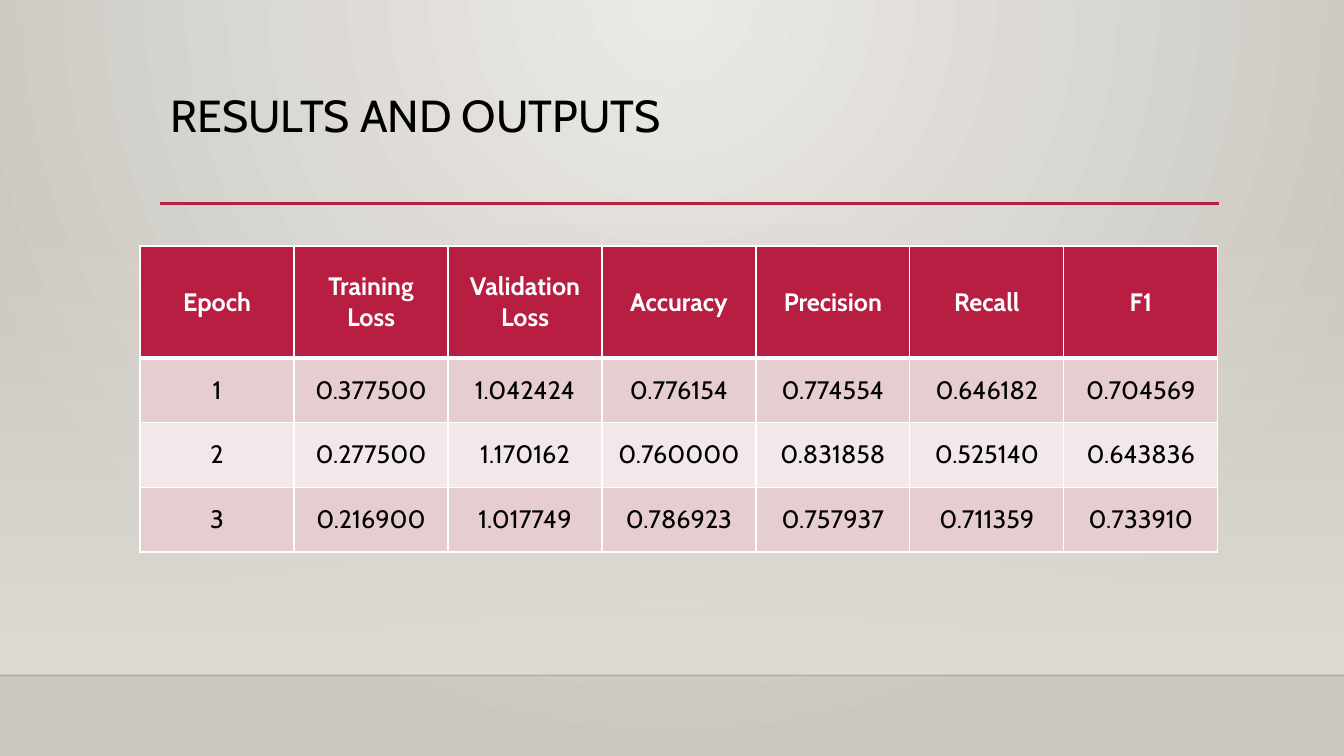
import lxml.etree
import pptx
import pptx.dml.color
import pptx.enum.shapes
import pptx.enum.text
import pptx.oxml.ns
import pptx.util

Cm = pptx.util.Cm
Pt = pptx.util.Pt
RGBColor = pptx.dml.color.RGBColor
qn = pptx.oxml.ns.qn

CRIMSON = RGBColor(0xB7, 0x1E, 0x42)
PINK = RGBColor(0xE6, 0xCD, 0xCF)
PALE_PINK = RGBColor(0xF3, 0xE8, 0xE9)
WHITE = RGBColor(0xFF, 0xFF, 0xFF)
BLACK = RGBColor(0x00, 0x00, 0x00)
GLOW = RGBColor(0xEC, 0xEA, 0xE7)
STONE = RGBColor(0xCA, 0xC7, 0xC1)
SAND = RGBColor(0xDF, 0xDB, 0xD5)

SLIDE_WIDTH = Cm(33.87)
FLOOR_TOP = Cm(17.02)
RULE_LEFT, RULE_RIGHT, RULE_TOP = Cm(4.04), Cm(30.73), Cm(5.13)

RESULTS = [
    ["Epoch", "Training Loss", "Validation Loss", "Accuracy", "Precision", "Recall", "F1"],
    ["1", "0.377500", "1.042424", "0.776154", "0.774554", "0.646182", "0.704569"],
    ["2", "0.277500", "1.170162", "0.760000", "0.831858", "0.525140", "0.643836"],
    ["3", "0.216900", "1.017749", "0.786923", "0.757937", "0.711359", "0.733910"],
]


def write(frame, text, size=18, color=BLACK, bold=False, align=None, spacing=None):
    frame.word_wrap = True
    paragraph = frame.paragraphs[0]
    paragraph.alignment = align
    paragraph.line_spacing = spacing
    run = paragraph.add_run()
    run.text = text
    run.font.name = "Cabin"
    run.font.size = Pt(size)
    run.font.bold = bold
    run.font.color.rgb = color


def set_alpha(parent, percent):
    """Make the first RGB colour under the element partly transparent."""
    color = next(parent.iter(qn("a:srgbClr")))
    lxml.etree.SubElement(color, qn("a:alpha"), val=str(percent * 1000))


deck = pptx.Presentation()
deck.slide_width, deck.slide_height = SLIDE_WIDTH, Cm(19.05)
slide = deck.slides.add_slide(deck.slide_layouts[6])

# Radial background, brightest at the top centre
backdrop = slide.background.fill
backdrop.gradient()
for stop, color, position in zip(backdrop.gradient_stops, (GLOW, STONE), (0, 1)):
    stop.color.rgb = color
    stop.position = position
radial = next(slide.element.iter(qn("a:gradFill")))
radial.remove(radial.find(qn("a:lin")))
circle = lxml.etree.SubElement(radial, qn("a:path"), path="circle")
lxml.etree.SubElement(circle, qn("a:fillToRect"), l="43000", t="0", r="43000", b="100000")

# Wall that fades in towards the floor
wall_top = Cm(5.61)
wall = slide.shapes.add_shape(
    pptx.enum.shapes.MSO_SHAPE.RECTANGLE, 0, wall_top, SLIDE_WIDTH, FLOOR_TOP - wall_top
)
wall.shadow.inherit = False
wall.line.fill.background()
wall.fill.gradient()
wall.fill.gradient_angle = 270
for stop, position in zip(wall.fill.gradient_stops, (0, 1)):
    stop.color.rgb = SAND
    stop.position = position
set_alpha(wall.element.spPr, 0)

# Floor edge and rule under the title
for left, right, top, color, width, opacity in [
    (0, SLIDE_WIDTH, FLOOR_TOP, BLACK, 1, 20),
    (RULE_LEFT, RULE_RIGHT, RULE_TOP, CRIMSON, 2.5, 100),
]:
    rule = slide.shapes.add_connector(
        pptx.enum.shapes.MSO_CONNECTOR.STRAIGHT, left, top, right, top
    )
    rule.line.color.rgb = color
    rule.line.width = Pt(width)
    set_alpha(rule.element.spPr, opacity)
    lxml.etree.SubElement(rule.element.spPr, qn("a:effectLst"))

title = slide.shapes.add_textbox(RULE_LEFT, Cm(2.24), Cm(26.67), Cm(2.92))
write(title.text_frame, "RESULTS AND OUTPUTS", size=32, spacing=0.9)

# Results table
column_width, header_height, row_height = Cm(3.88), Cm(2.82), Cm(1.63)
row_count, column_count = len(RESULTS), len(RESULTS[0])
table = slide.shapes.add_table(
    row_count, column_count, Cm(3.53), Cm(6.2),
    column_width * column_count, header_height + row_height * (row_count - 1),
).table
for column in table.columns:
    column.width = column_width

for row_index, values in enumerate(RESULTS):
    is_header = row_index == 0
    table.rows[row_index].height = header_height if is_header else row_height
    row_fill = CRIMSON if is_header else (PALE_PINK, PINK)[row_index % 2]
    top_width = 3 if row_index == 1 else 1
    bottom_width = 3 if is_header else 1
    for column_index, value in enumerate(values):
        cell = table.cell(row_index, column_index)
        cell.vertical_anchor = pptx.enum.text.MSO_ANCHOR.MIDDLE
        cell.fill.solid()
        cell.fill.fore_color.rgb = row_fill
        write(cell.text_frame, value, color=WHITE if is_header else BLACK,
              bold=is_header, align=pptx.enum.text.PP_ALIGN.CENTER)
        borders = [("L", 1), ("R", 1), ("T", top_width), ("B", bottom_width)]
        for order, (side, width) in enumerate(borders):
            border = lxml.etree.Element(qn(f"a:ln{side}"), w=str(Pt(width)))
            paint = lxml.etree.SubElement(border, qn("a:solidFill"))
            lxml.etree.SubElement(paint, qn("a:srgbClr"), val=str(WHITE))
            cell._tc.tcPr.insert(order, border)

deck.save("out.pptx")
